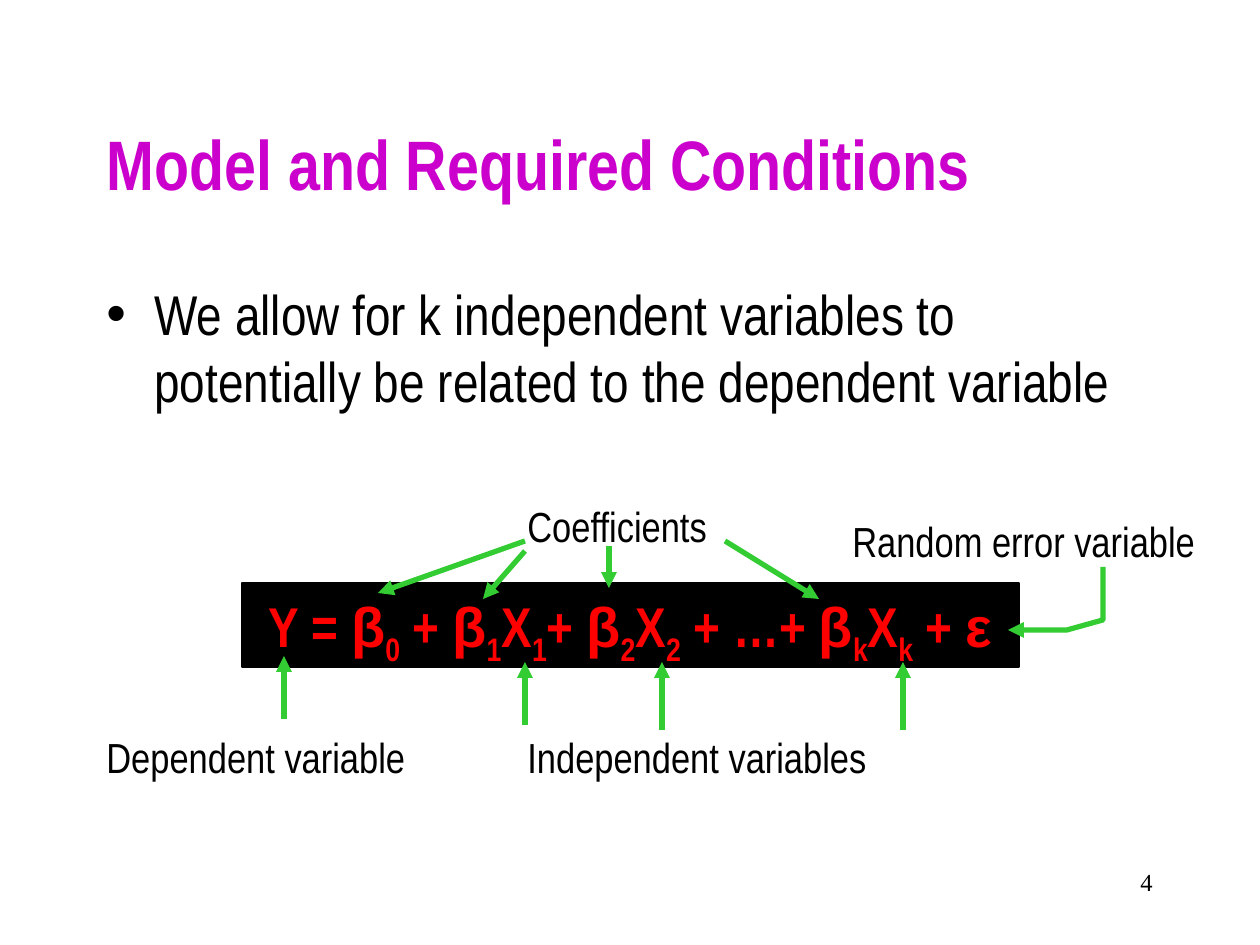
"""Build the slide on the multiple regression model and its parts."""
import pptx
import pptx.dml.color
import pptx.enum.shapes
import pptx.enum.text
import pptx.oxml.ns
import pptx.util
from lxml import etree

PX = 914400 / 126
COLORS = {"title": "CC00CC", "text": "000000", "box": "000000",
          "equation": "FF0000", "arrow": "33CC33"}
NARROW = "Arial Narrow"
ALIGN = pptx.enum.text.PP_ALIGN
ANCHOR = pptx.enum.text.MSO_ANCHOR

TITLE = ("Model and Required Conditions", (94, 84, 1071, 158))
BULLET = ("We allow for k independent variables to potentially be related "
          "to the dependent variable", (94, 273, 1071, 160))
PAGE_NUMBER = ("4", (903, 861, 262, 63))
LABELS = [
    ("Coefficients", (515, 494, 205, 63)),
    ("Dependent variable", (94, 725, 324, 63)),
    ("Independent variables", (515, 725, 364, 63)),
    ("Random error variable", (840, 509, 368, 63)),
]
EQUATION_BOX = (242, 583, 777, 84)
EQUATION = [
    ("Y = ", ""), ("β", "0"), (" + ", ""), ("β", "1"), ("X", "1"), ("+ ", ""),
    ("β", "2"), ("X", "2"), (" + …+ ", ""), ("β", "k"), ("X", "k"),
    (" + ", ""), ("ε", ""),
]
ARROWS = [
    ((284, 719), (284, 656)),
    ((525, 725), (525, 662)),
    ((662, 730), (662, 662)),
    ((903, 730), (903, 662)),
    ((525, 541), (378, 593)),
    ((525, 551), (483, 599)),
    ((725, 541), (819, 599)),
    ((609, 546), (609, 588)),
]
ERROR_PATH = [(1103, 567), (1103, 620), (1067, 630), (1008, 630)]


def emu(*lengths):
    return [round(length * PX) for length in lengths]


def color(name):
    return pptx.dml.color.RGBColor.from_string(COLORS[name])


def style(paragraph, size, name="text", font=NARROW, bold=False, align=ALIGN.LEFT):
    paragraph.alignment = align
    paragraph.font.size = pptx.util.Pt(size)
    paragraph.font.name = font
    paragraph.font.bold = bold
    paragraph.font.color.rgb = color(name)


def add_text(slide, text, box, size, wrap=True, **look):
    shape = slide.shapes.add_textbox(*emu(*box))
    shape.text_frame.word_wrap = wrap
    paragraph = shape.text_frame.paragraphs[0]
    paragraph.text = text
    style(paragraph, size, **look)
    return paragraph


def add_bullet(paragraph, indent):
    properties = paragraph._p.get_or_add_pPr()
    properties.set("marL", str(indent))
    properties.set("indent", str(-indent))
    etree.SubElement(properties, pptx.oxml.ns.qn("a:buFont"), typeface="Arial")
    etree.SubElement(properties, pptx.oxml.ns.qn("a:buChar"), char="•")


def add_equation(slide):
    shape = slide.shapes.add_shape(
        pptx.enum.shapes.MSO_SHAPE.RECTANGLE, *emu(*EQUATION_BOX))
    shape.shadow.inherit = False
    shape.fill.solid()
    shape.fill.fore_color.rgb = shape.line.color.rgb = color("box")
    shape.line.width = pptx.util.Pt(0.75)
    frame = shape.text_frame
    frame.vertical_anchor = ANCHOR.TOP
    frame.margin_top = emu(8)[0]
    paragraph = frame.paragraphs[0]
    style(paragraph, 32, "equation", bold=True, align=ALIGN.CENTER)
    for symbol, subscript in EQUATION:
        run = paragraph.add_run()
        run.text = symbol
        if symbol in "βε":
            run.font.name = "Arial"
        if subscript:
            run = paragraph.add_run()
            run.text = subscript
            run.font._element.set("baseline", "-25000")


def style_arrow(shape):
    shape.line.color.rgb = color("arrow")
    shape.line.width = pptx.util.Pt(3)
    etree.SubElement(shape.line._get_or_add_ln(),
                     pptx.oxml.ns.qn("a:tailEnd"), type="triangle")


def add_arrows(slide):
    for start, end in ARROWS:
        connector = slide.shapes.add_connector(
            pptx.enum.shapes.MSO_CONNECTOR.STRAIGHT, *emu(*start, *end))
        style_arrow(connector)
        etree.SubElement(connector._element.spPr, pptx.oxml.ns.qn("a:effectLst"))
    builder = slide.shapes.build_freeform(*ERROR_PATH[0], scale=PX)
    builder.add_line_segments(ERROR_PATH[1:], close=False)
    elbow = builder.convert_to_shape()
    elbow.fill.background()
    elbow.shadow.inherit = False
    style_arrow(elbow)


def main():
    presentation = pptx.Presentation()
    presentation.slide_width, presentation.slide_height = emu(1260, 945)
    slide = presentation.slides.add_slide(presentation.slide_layouts[5])

    title = slide.shapes.title
    title.left, title.top, title.width, title.height = emu(*TITLE[1])
    title.text_frame.text = TITLE[0]
    title.text_frame.vertical_anchor = ANCHOR.MIDDLE
    title.text_frame.auto_size = pptx.enum.text.MSO_AUTO_SIZE.NONE
    style(title.text_frame.paragraphs[0], 40, "title", bold=True)

    add_bullet(add_text(slide, *BULLET, 32), emu(48)[0])
    add_equation(slide)
    for text, box in LABELS:
        add_text(slide, text, box, 24, wrap=False)
    add_arrows(slide)
    add_text(slide, *PAGE_NUMBER, 14, font="Times New Roman", align=ALIGN.RIGHT)
    presentation.save("out.pptx")


if __name__ == "__main__":
    main()
